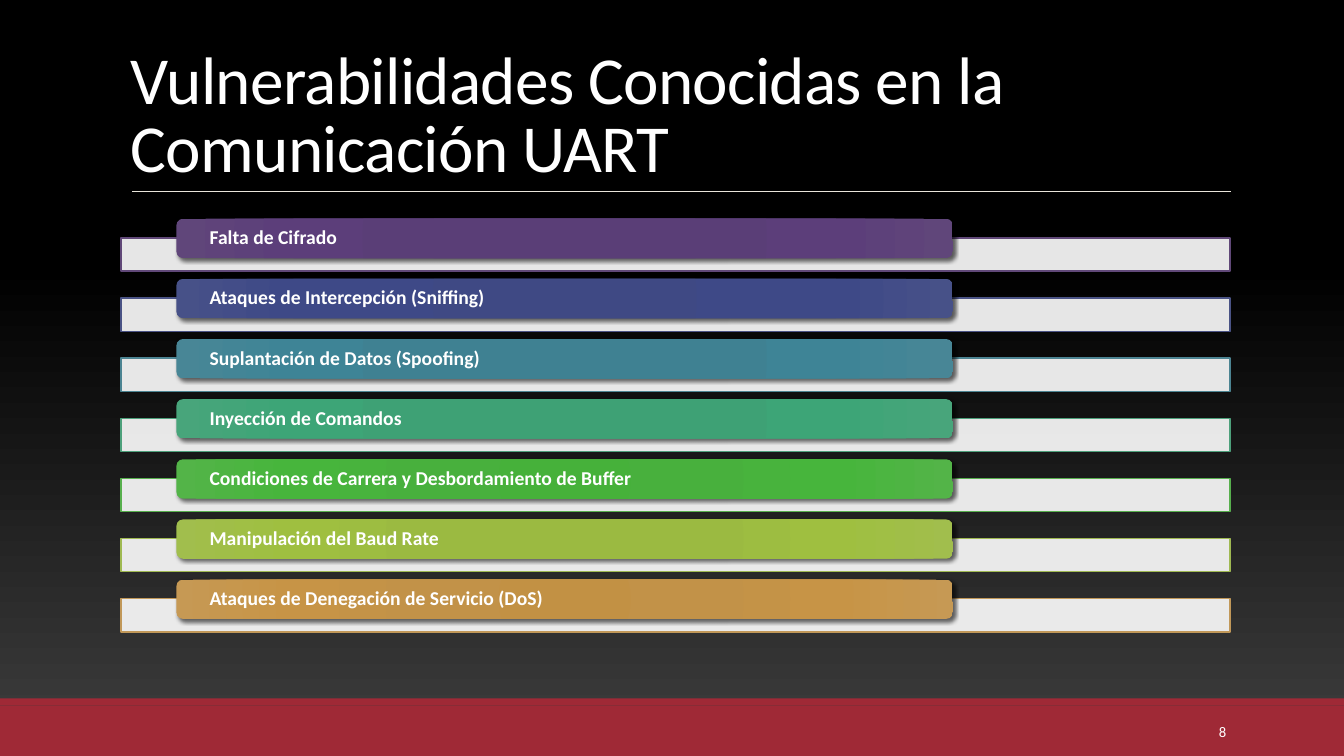
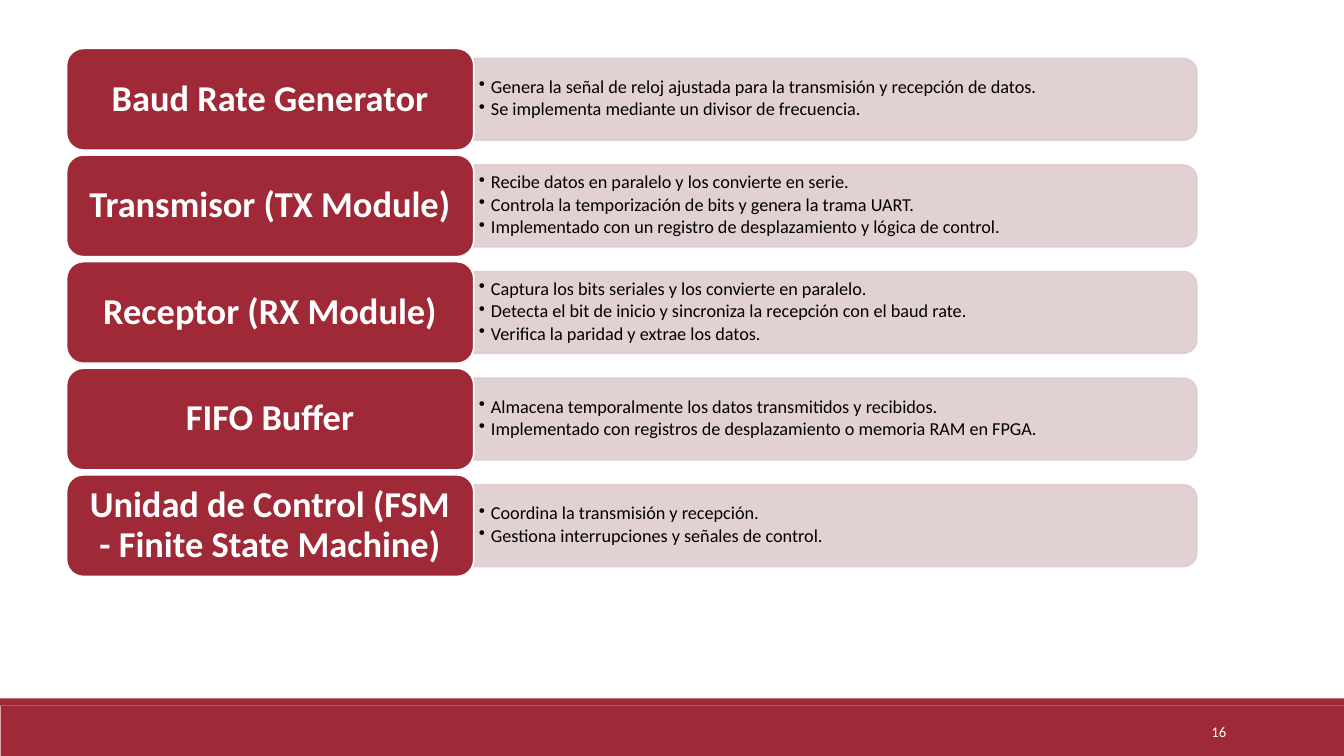
from lxml.etree import SubElement
from pptx import Presentation
from pptx.dml.color import RGBColor
from pptx.enum.shapes import MSO_CONNECTOR, MSO_SHAPE
from pptx.enum.text import MSO_ANCHOR, PP_ALIGN
from pptx.oxml import parse_xml
from pptx.oxml.ns import nsdecls, qn
from pptx.util import Inches, Pt

FONT = "Calibri"
WHITE = RGBColor(0xFF, 0xFF, 0xFF)
BLACK = RGBColor(0, 0, 0)
RED = RGBColor(0x9F, 0x29, 0x36)
PINK = RGBColor(0xDF, 0xCD, 0xCE)
EDGE = RGBColor(0xD9, 0xA9, 0xAF)
RULE = RGBColor(0xE9, 0xE5, 0xDB)
WIDTH, HEIGHT = 13.33, 7.5

TITLE = "Vulnerabilidades Conocidas en la Comunicación UART"
BACKDROP = [(0, "3F3F3F"), (65, "000000"), (100, "000000")]
STOPS = (0, 34, 70, 100)
# Text, bar outline, pill gradient colours
THREATS = [
    ("Falta de Cifrado", "604878",
     ("593C77", "5A3E77", "5C3E7A", "60467A")),
    ("Ataques de Intercepción (Sniffing)", "4A5385",
     ("3D4784", "3F4984", "3E4987", "475188")),
    ("Suplantación de Datos (Spoofing)", "4C8492",
     ("3D8192", "3F8192", "3E8496", "488696")),
    ("Inyección de Comandos", "4DA07B",
     ("3CA174", "3EA175", "3DA577", "48A57B")),
    ("Condiciones de Carrera y Desbordamiento de Buffer", "57AF4D",
     ("46B13A", "48B03D", "47B53C", "53B448")),
    ("Manipulación del Baud Rate", "9FB952",
     ("9BBA3E", "9BBA41", "9FBF40", "A1BE4D")),
    ("Ataques de Denegación de Servicio (DoS)", "C19859",
     ("C29144", "C29248", "C79446", "C69954")),
]
MODULES = [
    ("Baud Rate Generator", [
        "Genera la señal de reloj ajustada para la transmisión y recepción de datos.",
        "Se implementa mediante un divisor de frecuencia."]),
    ("Transmisor (TX Module)", [
        "Recibe datos en paralelo y los convierte en serie.",
        "Controla la temporización de bits y genera la trama UART.",
        "Implementado con un registro de desplazamiento y lógica de control."]),
    ("Receptor (RX Module)", [
        "Captura los bits seriales y los convierte en paralelo.",
        "Detecta el bit de inicio y sincroniza la recepción con el baud rate.",
        "Verifica la paridad y extrae los datos."]),
    ("FIFO Buffer", [
        "Almacena temporalmente los datos transmitidos y recibidos.",
        "Implementado con registros de desplazamiento o memoria RAM en FPGA."]),
    ("Unidad de Control (FSM - Finite State Machine)", [
        "Coordina la transmisión y recepción.",
        "Gestiona interrupciones y señales de control."]),
]


def write(shape, text, size, color=WHITE, bold=False, align=PP_ALIGN.LEFT,
          anchor=MSO_ANCHOR.MIDDLE, inset=(0.1, 0.05), spacing=None,
          after=0, bullet=False, track=None):
    """Fill a shape with text; a list gives one paragraph per item."""
    frame = shape.text_frame
    frame.word_wrap = True
    frame.vertical_anchor = anchor
    frame.margin_left = frame.margin_right = Inches(inset[0])
    frame.margin_top = frame.margin_bottom = Inches(inset[1])
    lines = [text] if isinstance(text, str) else text
    for i, line in enumerate(lines):
        para = frame.paragraphs[0] if i == 0 else frame.add_paragraph()
        if bullet:
            props = para._p.get_or_add_pPr()
            props.set("marL", str(Inches(0.12)))
            props.set("indent", str(-Inches(0.12)))
            SubElement(props, qn("a:buChar")).set("char", "•")
        para.alignment = align
        para.space_after = Pt(after)
        if spacing:
            para.line_spacing = spacing
        run = para.add_run()
        run.text = line
        font = run.font
        font.name, font.size, font.bold = FONT, Pt(size), bold
        font.color.rgb = color
        if track:
            run._r.get_or_add_rPr().set("spc", str(track))


def text_box(slide, box, text, size, **style):
    write(slide.shapes.add_textbox(*map(Inches, box)), text, size, **style)


def block(slide, kind, box, fill, line=None, width=1):
    shape = slide.shapes.add_shape(kind, *map(Inches, box))
    shape.shadow.inherit = False
    shape.fill.solid()
    shape.fill.fore_color.rgb = fill
    if line is None:
        shape.line.fill.background()
    else:
        shape.line.color.rgb = line
        shape.line.width = Pt(width)
    return shape


def fade(shape, percent):
    """Make the fill and line of a shape partly transparent."""
    for color in shape.element.spPr.iter(qn("a:srgbClr")):
        SubElement(color, qn("a:alpha")).set("val", str(percent * 1000))


def blend(element, stops, shade):
    """Put a gradient in place of the first solid fill of an element."""
    marks = "".join(f'<a:gs pos="{pos * 1000}"><a:srgbClr val="{color}"/></a:gs>'
                    for pos, color in stops)
    solid = next(element.iter(qn("a:solidFill")))
    solid.getparent().replace(solid, parse_xml(
        f'<a:gradFill {nsdecls("a")} rotWithShape="1">'
        f'<a:gsLst>{marks}</a:gsLst>{shade}</a:gradFill>'))


def cast(shape):
    """Give a shape a soft shadow to the lower right."""
    effects = shape.element.spPr.find(qn("a:effectLst"))
    effects.append(parse_xml(
        f'<a:outerShdw {nsdecls("a")} blurRad="{Pt(3)}" dist="{Pt(2)}" '
        'dir="2700000" algn="ctr" rotWithShape="0"><a:srgbClr val="000000">'
        '<a:alpha val="60000"/></a:srgbClr></a:outerShdw>'))


def footer(slide, number, edge=None):
    block(slide, MSO_SHAPE.RECTANGLE, (0, 7, WIDTH, 0.5), RED, edge, 0.5)
    block(slide, MSO_SHAPE.RECTANGLE, (0, 6.93, WIDTH, 0.07), RED)
    text_box(slide, (10.83, 7.06, 1.43, 0.4), number, 10.5,
             align=PP_ALIGN.RIGHT)


def heading(slide, text):
    rule = slide.shapes.add_connector(
        MSO_CONNECTOR.STRAIGHT, Inches(1.31), Inches(1.9),
        Inches(12.21), Inches(1.9))
    rule.line.color.rgb = RULE
    rule.line.width = Pt(0.5)
    SubElement(rule.element.spPr, qn("a:effectLst"))
    text_box(slide, (1.2, 0.31, 11, 1.59), text, 48, spacing=0.85, after=6,
             anchor=MSO_ANCHOR.BOTTOM, track=-50)


def threats(slide):
    slide.background.fill.solid()
    slide.background.fill.fore_color.rgb = BLACK
    blend(slide.element, BACKDROP, '<a:lin ang="16200000" scaled="0"/>')
    footer(slide, "8")
    heading(slide, TITLE)
    top, step = 2.36, (5.94 - 2.36) / (len(THREATS) - 1)
    glow = ('<a:path path="circle"><a:fillToRect l="100000" t="100000" '
            'r="100000" b="100000"/></a:path>')
    for i, (text, outline, colors) in enumerate(THREATS):
        y = top + i * step
        bar = block(slide, MSO_SHAPE.RECTANGLE, (1.2, y, 11, 0.33), WHITE)
        fade(bar, 90)
        bar.line.color.rgb = RGBColor.from_string(outline)
        bar.line.width = Pt(1)
        pill = block(slide, MSO_SHAPE.ROUNDED_RECTANGLE,
                     (1.75, y - 0.19, 7.7, 0.39), RED)
        blend(pill.element.spPr, zip(STOPS, colors), glow)
        cast(pill)
        write(pill, text, 14, bold=True, inset=(0.31, 0), spacing=0.9)


def modules(slide):
    footer(slide, "16", EDGE)
    top, step = 0.48, (4.71 - 0.48) / (len(MODULES) - 1)
    left, wide, tall = 0.66, 4.04, 1.01
    long, thick = 7.17, 0.81
    split = left + wide
    for i, (name, points) in enumerate(MODULES):
        y = top + i * step
        middle = y + tall / 2
        # The panel is upright before it is turned about its centre
        panel = block(slide, MSO_SHAPE.ROUND_2_SAME_RECTANGLE,
                      (split + (long - thick) / 2, middle - long / 2,
                       thick, long), PINK, PINK, 1.25)
        panel.rotation = 90
        fade(panel, 90)
        text_box(slide, (split, middle - 0.37, 7.14, 0.73), points, 13,
                 color=BLACK, inset=(0.05, 0.03), spacing=0.9, after=2,
                 bullet=True)
        card = block(slide, MSO_SHAPE.ROUNDED_RECTANGLE,
                     (left, y, wide, tall), RED, WHITE, 1.25)
        write(card, name, 26, bold=True, align=PP_ALIGN.CENTER,
              inset=(0.16, 0.1), spacing=0.9)


def main():
    deck = Presentation()
    deck.slide_width, deck.slide_height = Inches(WIDTH), Inches(HEIGHT)
    blank = deck.slide_layouts[6]
    for build in (threats, modules):
        build(deck.slides.add_slide(blank))
    deck.save("out.pptx")


if __name__ == "__main__":
    main()
